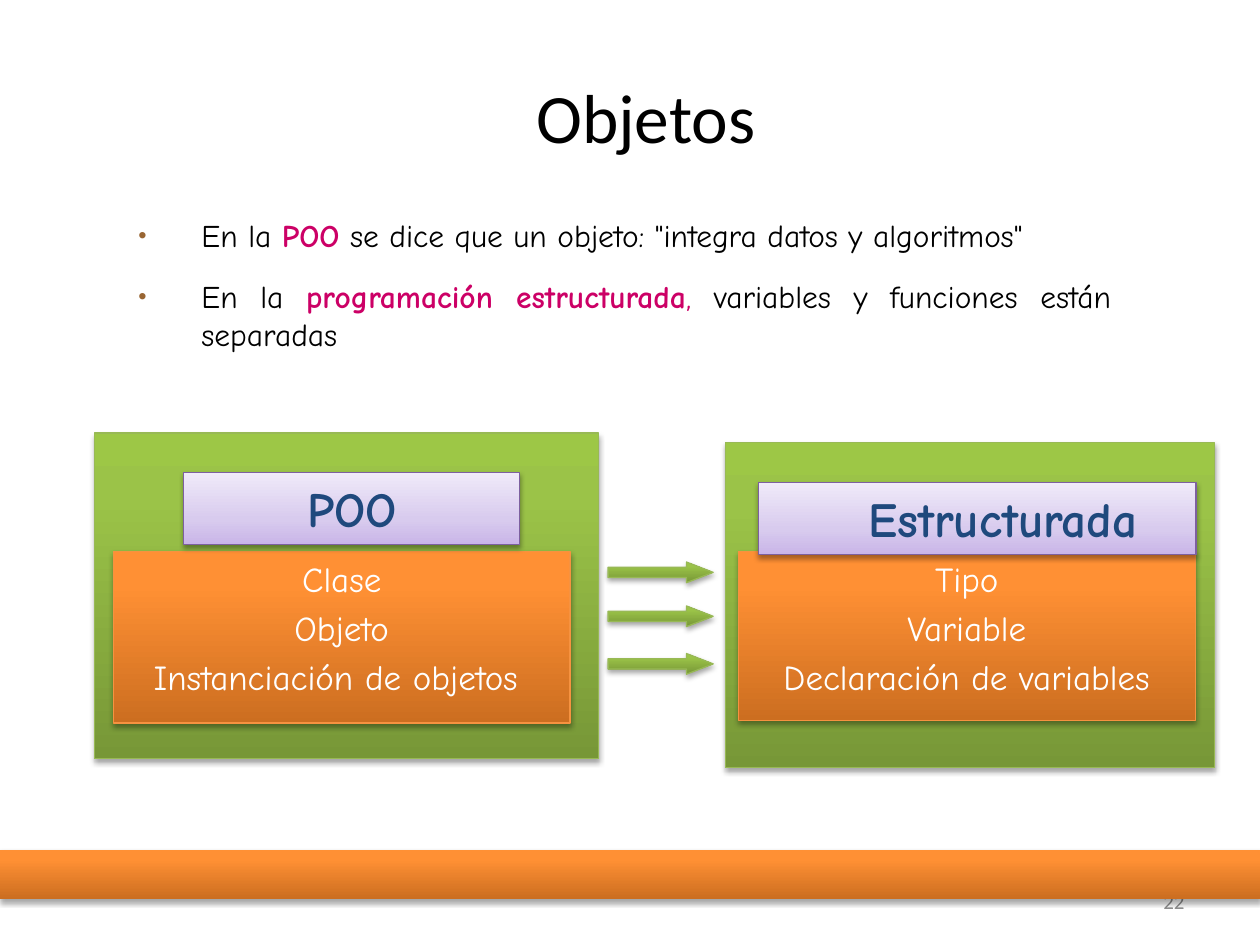
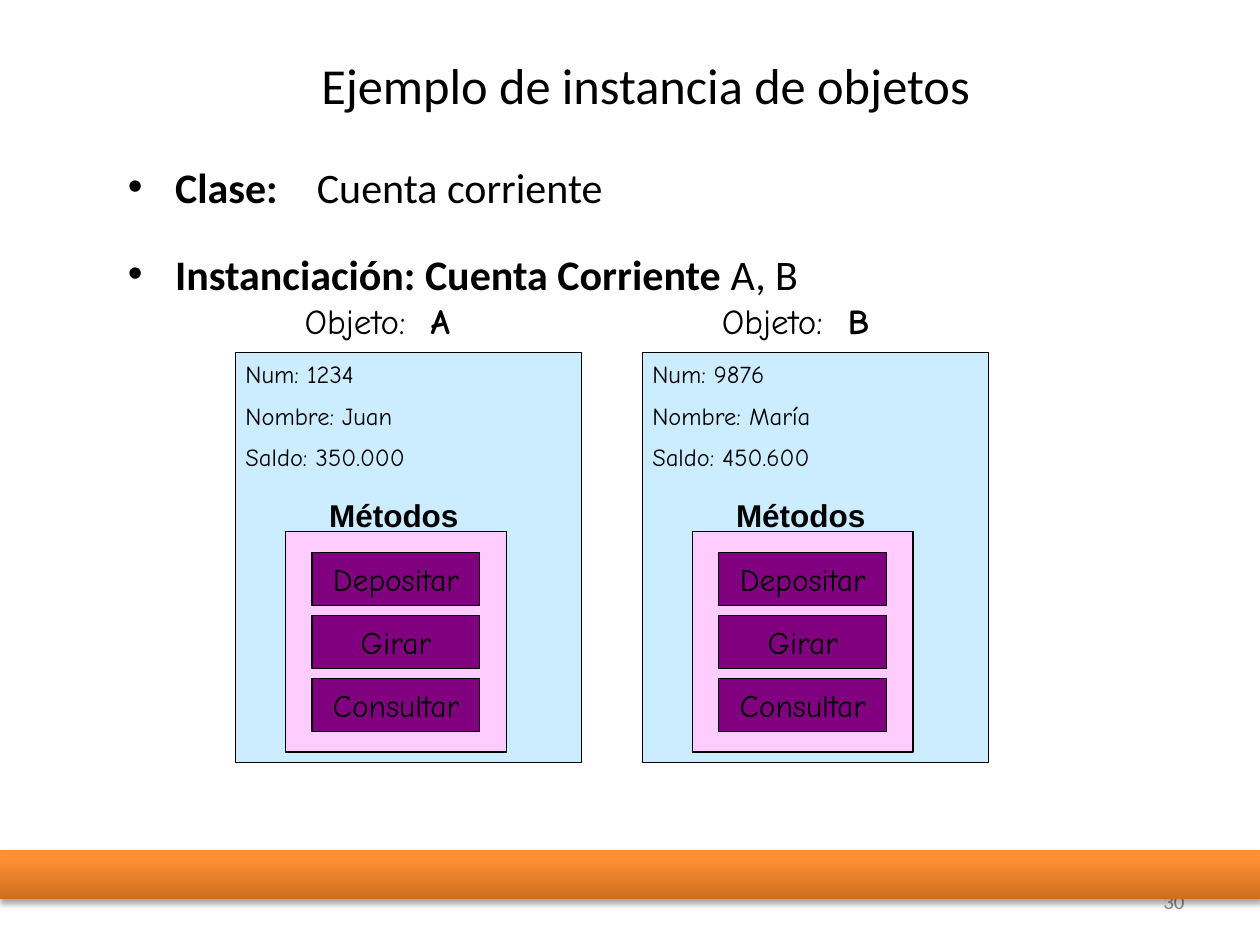
import pptx
import pptx.util
import pptx.oxml
import pptx.oxml.ns
from pptx.dml.color import RGBColor
from pptx.enum.shapes import MSO_SHAPE
from pptx.enum.text import MSO_ANCHOR, PP_ALIGN

Pt = pptx.util.Pt
qn = pptx.oxml.ns.qn
NS = pptx.oxml.ns.nsdecls("a")

BLACK = RGBColor(0x00, 0x00, 0x00)
WHITE = RGBColor(0xFF, 0xFF, 0xFF)
GREY = RGBColor(0x8C, 0x8C, 0x8C)
NAVY = RGBColor(0x1F, 0x49, 0x7D)
MAGENTA = RGBColor(0xCC, 0x00, 0x66)
BROWN = RGBColor(0x99, 0x66, 0x33)
SKY = RGBColor(0xCC, 0xEC, 0xFF)
PINK = RGBColor(0xFF, 0xCC, 0xFF)
PURPLE = RGBColor(0x80, 0x00, 0x80)
GREEN_LINE = RGBColor(0x98, 0xB9, 0x55)
ORANGE_LINE = RGBColor(0xF6, 0x92, 0x40)
LILAC_LINE = RGBColor(0x7D, 0x60, 0xA0)

# Gradients run from bottom to top: (percent, colour)
GREEN = ((0, RGBColor(0x77, 0x97, 0x37)), (80, RGBColor(0x9B, 0xC3, 0x48)),
         (100, RGBColor(0x9D, 0xC7, 0x46)))
ORANGE = ((0, RGBColor(0xCC, 0x6E, 0x20)), (80, RGBColor(0xFF, 0x90, 0x34)),
          (100, RGBColor(0xFF, 0x91, 0x36)))
LILAC = ((0, RGBColor(0xC9, 0xB5, 0xE8)), (35, RGBColor(0xD8, 0xCB, 0xEE)),
         (100, RGBColor(0xF0, 0xEA, 0xF9)))

HAND = "Comic Neue"
BODY = "Calibri"
W, H = 720, 540


def add_box(s, box, fill, line=None, kind=MSO_SHAPE.RECTANGLE):
    """Add a shape; a tuple of stops as fill gives a gradient with a shadow."""
    sp = s.shapes.add_shape(kind, *map(Pt, box))
    sp.shadow.inherit = False
    if isinstance(fill, RGBColor):
        sp.fill.solid()
        sp.fill.fore_color.rgb = fill
    else:
        set_gradient(sp, fill)
        add_shadow(sp)
    if line is None:
        sp.line.fill.background()
    else:
        sp.line.color.rgb = line
        sp.line.width = Pt(0.75)
    return sp


def set_gradient(sp, stops):
    sp.fill.gradient()
    sp.fill.gradient_angle = 90
    stop_list = sp._element.spPr.find(".//" + qn("a:gsLst"))
    for old in list(stop_list):
        stop_list.remove(old)
    for pos, color in stops:
        stop_list.append(pptx.oxml.parse_xml(
            f'<a:gs {NS} pos="{pos * 1000}"><a:srgbClr val="{color}"/></a:gs>'))


def add_shadow(sp):
    sp._element.spPr.find(qn("a:effectLst")).append(pptx.oxml.parse_xml(
        f'<a:outerShdw {NS} blurRad="{Pt(3.1)}" dist="{Pt(1.8)}" dir="5400000" '
        'rotWithShape="0"><a:srgbClr val="000000"><a:alpha val="35000"/>'
        '</a:srgbClr></a:outerShdw>'))


def write(sp, paragraphs, size, font=HAND, color=BLACK, bold=False,
          align=PP_ALIGN.LEFT, anchor=MSO_ANCHOR.TOP, before=0, wrap=True):
    """Fill a shape; a paragraph is a string or a list of (text, font changes)."""
    tf = sp.text_frame
    tf.word_wrap = wrap
    tf.vertical_anchor = anchor
    for i, runs in enumerate(paragraphs):
        p = tf.add_paragraph() if i else tf.paragraphs[0]
        p.alignment = align
        p.space_before = Pt(before)
        p.font.size, p.font.name, p.font.bold = Pt(size), font, bold
        p.font.color.rgb = color
        for text, changes in [(runs, {})] if isinstance(runs, str) else runs:
            r = p.add_run()
            r.text = text
            if "bold" in changes:
                r.font.bold = changes["bold"]
            if "color" in changes:
                r.font.color.rgb = changes["color"]
    return tf


def add_text(s, box, paragraphs, size, **style):
    return write(s.shapes.add_textbox(*map(Pt, box)), paragraphs, size, **style)


def add_bullets(tf, indent, color=BLACK, percent=100):
    for p in tf.paragraphs:
        pPr = p._p.get_or_add_pPr()
        pPr.set("marL", str(Pt(indent)))
        pPr.set("indent", str(-Pt(indent)))
        defaults = pPr.find(qn("a:defRPr"))
        for xml in (f'<a:buClr {NS}><a:srgbClr val="{color}"/></a:buClr>',
                    f'<a:buSzPct {NS} val="{percent * 1000}"/>',
                    f'<a:buFont {NS} typeface="Arial"/>',
                    f'<a:buChar {NS} char="•"/>'):
            defaults.addprevious(pptx.oxml.parse_xml(xml))


def add_title(s, text, top, height, size):
    add_text(s, (54, top, 630, height), [text], size, font=BODY,
             align=PP_ALIGN.CENTER, anchor=MSO_ANCHOR.MIDDLE)


def add_footer(s, number):
    add_text(s, (516, 500.4, 168, 28.8), [number], 12, font=BODY, color=GREY,
             align=PP_ALIGN.RIGHT, anchor=MSO_ANCHOR.MIDDLE)
    add_box(s, (0, 485.5, W, 28), ORANGE)


def add_panel(s, box, label, label_box, terms, terms_box, label_inset=7.2):
    """Green panel; label and terms boxes are offsets from its corner."""
    x, y = box[:2]
    add_box(s, box, GREEN, GREEN_LINE)
    dx, dy, w, h = terms_box
    sp = add_box(s, (x + dx, y + dy, w, h), ORANGE, ORANGE_LINE)
    write(sp, terms, 20, color=WHITE, align=PP_ALIGN.CENTER, before=4)
    dx, dy, w, h = label_box
    sp = add_box(s, (x + dx, y + dy, w, h), LILAC, LILAC_LINE)
    tf = write(sp, [label], 28, color=NAVY, bold=True, align=PP_ALIGN.CENTER)
    tf.margin_left = Pt(label_inset)


def add_arrows(s, x, tops):
    for top in tops:
        sp = add_box(s, (x, top, 60, 11.8), GREEN, GREEN_LINE,
                     MSO_SHAPE.RIGHT_ARROW)
        sp.adjustments[0] = 0.5
        sp.adjustments[1] = 1.29


def add_object_card(s, x, y, name, name_dx, fields):
    """Object name above a card with its fields and its methods."""
    add_text(s, (x + name_dx, y - 33.8, 124.6, 31),
             [[("Objeto:\t", {}), (name, {"bold": True})]], 20)
    add_box(s, (x, y, 198, 234), SKY, BLACK)
    add_text(s, (x + 46.5, y + 78.5, 90, 28.8), ["Métodos"], 18,
             font="Arial", bold=True)
    add_box(s, (x + 28.8, y + 102.2, 126, 126), PINK, BLACK)
    for i, method in enumerate(("Depositar", "Girar", "Consultar")):
        sp = add_box(s, (x + 43.7, y + 114.3 + 36 * i, 96, 30), PURPLE, BLACK)
        write(sp, [method], 18, align=PP_ALIGN.CENTER,
              anchor=MSO_ANCHOR.MIDDLE, wrap=False)
    add_text(s, (x - 1.3, y, 210, 74.2), fields, 14, before=7)


def build_comparison(s):
    add_title(s, "Objetos", 42, 48, 39.6)
    tf = add_text(s, (72, 120, 570, 155.5), [
        [("En la ", {}), ("POO", {"color": MAGENTA, "bold": True}),
         (' se dice que un objeto: "integra datos y algoritmos"', {})],
        [("En la ", {}),
         ("programación estructurada", {"color": MAGENTA, "bold": True}),
         (",", {"color": MAGENTA}),
         (" variables y funciones están separadas", {})],
    ], 18, align=PP_ALIGN.JUSTIFY, before=13.2)
    tf.paragraphs[0].space_before = Pt(3.6)
    add_bullets(tf, 36, BROWN, 75)
    add_panel(s, (414.5, 252.7, 279.5, 186), "Estructurada",
              (19, 23, 250, 41.2),
              ["Tipo", "Variable", "Declaración de variables"],
              (7.5, 62.5, 261, 96.5), label_inset=36)
    add_panel(s, (54, 247.5, 288, 186), "POO", (51, 22.5, 192, 41.2),
              ["Clase", "Objeto", "Instanciación de objetos "],
              (10.8, 67.7, 261, 98))
    add_arrows(s, 347.5, (321.2, 346.3, 373.5))
    add_footer(s, "22")


def build_instances(s):
    add_title(s, "Ejemplo de instancia de objetos", 26, 44, 28.8)
    tf = add_text(s, (66, 88.5, 612, 388), [
        [("Clase:", {"bold": True}), ("\tCuenta corriente", {})],
        [("Instanciación: Cuenta Corriente", {"bold": True}), (" A, B", {})],
    ], 24, font=BODY, before=21)
    tf.paragraphs[0].space_before = Pt(4.8)
    add_bullets(tf, 27)
    add_object_card(s, 134.5, 201.6, "A", 32.5,
                    ["Num: 1234", "Nombre: Juan", "Saldo: 350.000"])
    add_object_card(s, 367, 201.6, "B", 38.4,
                    ["Num: 9876", "Nombre: María", "Saldo: 450.600"])
    add_footer(s, "30")


def main():
    prs = pptx.Presentation()
    prs.slide_width, prs.slide_height = Pt(W), Pt(H)
    for build in (build_comparison, build_instances):
        build(prs.slides.add_slide(prs.slide_layouts[6]))
    prs.save("out.pptx")


if __name__ == "__main__":
    main()
